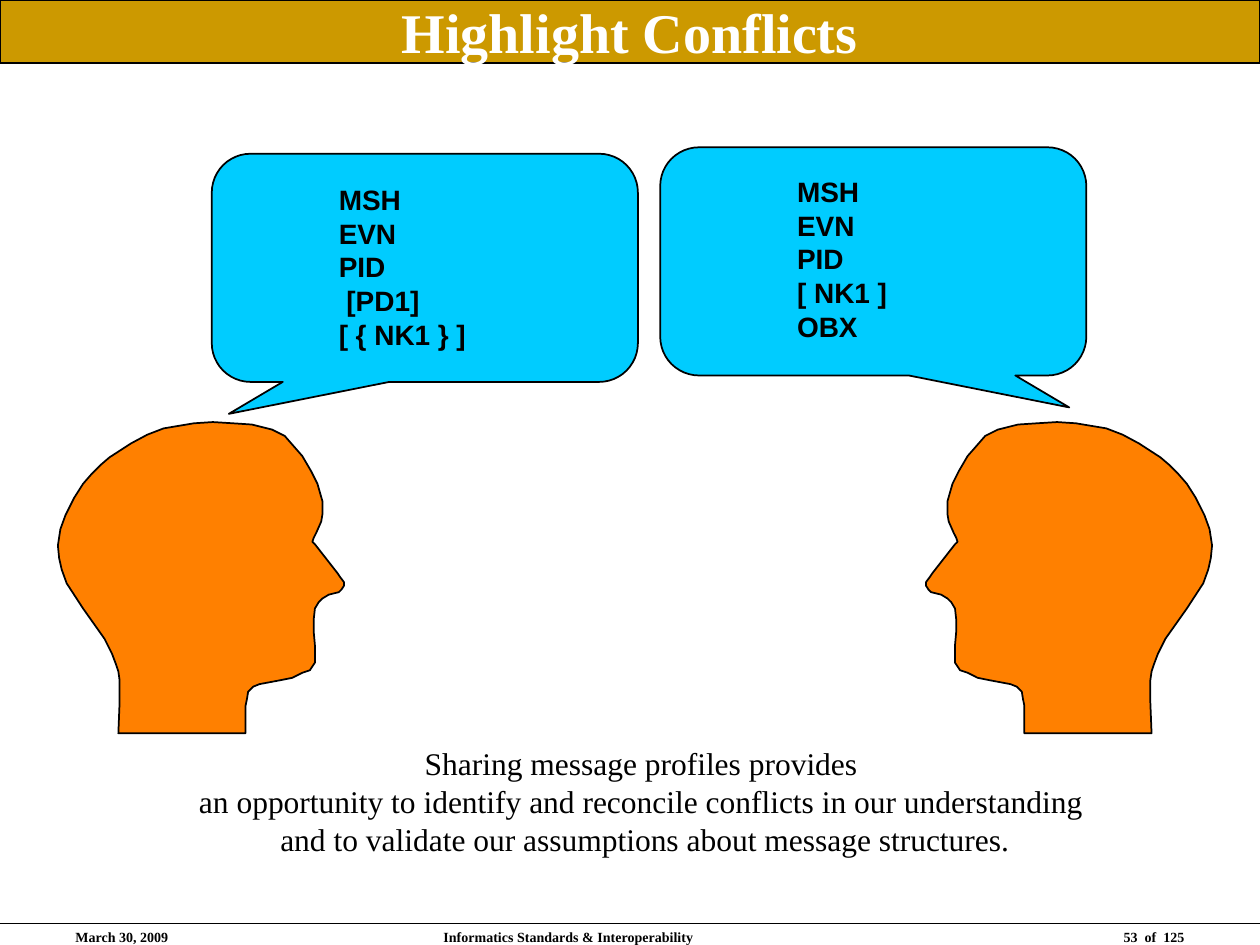
from lxml import etree
from pptx import Presentation
from pptx.dml.color import RGBColor
from pptx.enum.shapes import MSO_CONNECTOR, MSO_SHAPE
from pptx.enum.text import MSO_ANCHOR, PP_ALIGN
from pptx.oxml.ns import qn
from pptx.util import Cm, Pt

LEFT, MID, RIGHT = PP_ALIGN.LEFT, PP_ALIGN.CENTER, PP_ALIGN.RIGHT
RECT, TALK = MSO_SHAPE.RECTANGLE, MSO_SHAPE.ROUNDED_RECTANGULAR_CALLOUT
STRAIGHT, CENTRE = MSO_CONNECTOR.STRAIGHT, MSO_ANCHOR.MIDDLE
WIDE = 25.4
FLIP = 1008
HEAD = [
    (195, 582), (195, 560), (196, 555), (197, 549), (201, 545), (206, 543),
    (222, 540), (232, 538), (240, 534), (246, 532), (248, 529), (250, 526),
    (250, 519), (250, 512), (249, 501), (249, 492), (250, 483), (253, 478),
    (256, 475), (261, 472), (269, 470), (271, 468), (273, 465), (273, 462),
    (270, 458), (268, 455), (250, 432), (248, 430), (249, 427), (251, 423),
    (255, 414), (256, 408), (256, 398), (252, 384), (247, 374), (240, 362),
    (233, 354), (226, 346), (216, 341), (200, 337), (185, 336), (169, 335),
    (154, 336), (142, 338), (130, 340), (117, 345), (104, 352), (87, 363),
    (80, 369), (73, 376), (66, 384), (59, 395), (52, 409), (48, 420),
    (46, 433), (47, 443), (49, 452), (53, 463), (66, 483), (83, 507),
    (89, 519), (92, 527), (94, 533), (95, 540), (95, 546), (95, 557),
    (94, 582),
]


def tint(code):
    return RGBColor.from_string(code)


class Deck:
    ink = "000000"
    serif = "Times New Roman"
    sans = "Arial"

    def __init__(self):
        self.prs = Presentation()
        self.prs.slide_width = Cm(WIDE)
        self.prs.slide_height = Cm(19.05)
        self.slide = self.prs.slides.add_slide(self.prs.slide_layouts[6])
        self.items = self.slide.shapes

    def paint(self, shape, fill, width):
        shape.shadow.inherit = False
        shape.fill.solid()
        shape.fill.fore_color.rgb = tint(fill)
        shape.line.color.rgb = tint(self.ink)
        shape.line.width = Pt(width)

    def letter(self, frame, lines, size, font, bold, align, ink):
        for i, line in enumerate(lines):
            para = frame.add_paragraph() if i else frame.paragraphs[0]
            para.alignment = align
            run = para.add_run()
            run.text = line
            run.font.size = Pt(size)
            run.font.name = font
            run.font.bold = bold
            run.font.color.rgb = tint(ink)

    def text(self, box, lines, size, font=serif, bold=True, align=LEFT, wrap=True):
        frame = self.items.add_textbox(*map(Cm, box)).text_frame
        frame.word_wrap = wrap
        self.letter(frame, lines, size, font, bold, align, self.ink)

    def title(self, line):
        bar = self.items.add_shape(RECT, 0, 0, Cm(WIDE), Cm(1.27))
        self.paint(bar, "CC9900", 0.75)
        bar.text_frame.vertical_anchor = CENTRE
        self.letter(bar.text_frame, [line], 32, self.serif, True, MID, "FFFFFF")

    def rule(self, top):
        line = self.items.add_connector(STRAIGHT, 0, Cm(top), Cm(WIDE), Cm(top))
        line.line.color.rgb = tint(self.ink)
        line.line.width = Pt(0.75)
        etree.SubElement(line._element.spPr, qn("a:effectLst"))

    def head(self, points):
        form = self.items.build_freeform(*points[0], scale=Cm(2.54) / 100)
        form.add_line_segments(points[1:], close=True)
        self.paint(form.convert_to_shape(), "FF8000", 1)

    def bubble(self, left, top, tail):
        shape = self.items.add_shape(TALK, Cm(left), Cm(top), Cm(8.59), Cm(4.6))
        shape.adjustments[0] = tail
        shape.adjustments[1] = 0.64
        shape.adjustments[2] = 0.17
        self.paint(shape, "00CCFF", 1)


def main():
    deck = Deck()
    deck.rule(18.62)
    for left, width, align, line in (
        (1.27, 5.92, LEFT, "March 30, 2009"),
        (8.69, 8.05, LEFT, "Informatics Standards & Interoperability"),
        (18.21, 5.92, RIGHT, "53  of  125"),
    ):
        deck.text((left, 18.59, width, 0.43), [line], 8, align=align)

    deck.head(HEAD)
    deck.head([(FLIP - x, y) for x, y in HEAD])
    deck.text((3.76, 14.88, 18.49, 2.54), [
        "Sharing message profiles provides ",
        "an opportunity to identify and reconcile conflicts in our understanding ",
        "and to validate our assumptions about message structures.",
    ], 18, bold=False, align=MID, wrap=False)

    deck.bubble(4.27, 3.1, -0.46)
    deck.bubble(13.31, 2.97, 0.46)
    deck.title("Highlight Conflicts")
    for left, top, lines in (
        (6.58, 3.56, ["MSH", "EVN", "PID", " [PD1]", "[ { NK1 } ]"]),
        (15.82, 3.4, ["MSH", "EVN", "PID", "[ NK1 ]", "OBX"]),
    ):
        deck.text((left, top, 3.61, 3.66), lines, 16, font=deck.sans)
    deck.prs.save("out.pptx")


if __name__ == "__main__":
    main()
